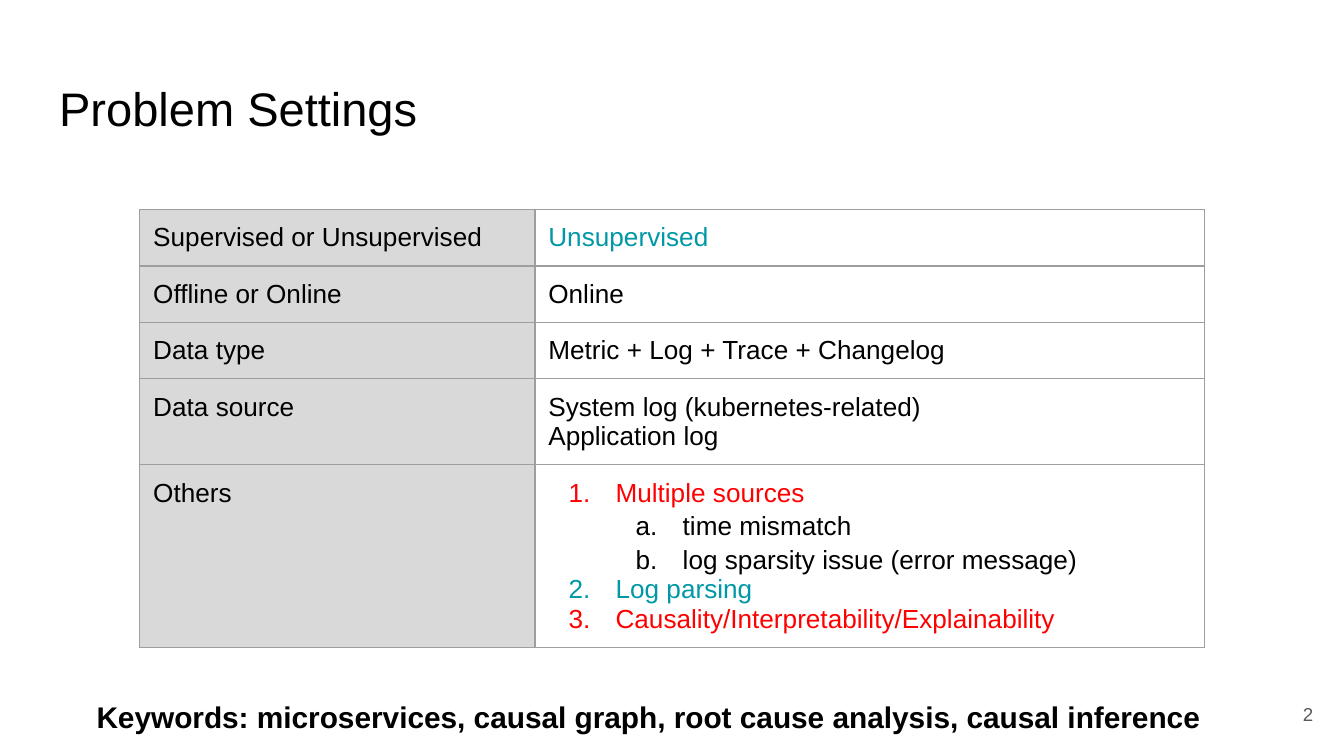
from dataclasses import dataclass

from lxml import etree
from pptx import Presentation
from pptx.dml.color import RGBColor
from pptx.enum.text import MSO_ANCHOR, MSO_AUTO_SIZE, PP_ALIGN
from pptx.oxml.ns import qn
from pptx.util import Inches, Pt

TOP, MIDDLE = MSO_ANCHOR.TOP, MSO_ANCHOR.MIDDLE
LEFT, RIGHT = PP_ALIGN.LEFT, PP_ALIGN.RIGHT
TITLE_ONLY = 5
SLIDE_WIDTH = 10
SLIDE_HEIGHT = SLIDE_WIDTH * 9 / 16


@dataclass(frozen=True)
class Theme:
    font: str = "Arial"
    black: str = "000000"
    teal: str = "0097A7"
    red: str = "FF0000"
    gray: str = "595959"
    label_fill: str = "D9D9D9"
    border: str = "9E9E9E"
    border_pt: float = 0.75
    title_pt: float = 25.2
    table_pt: float = 14
    keywords_pt: float = 16
    number_pt: float = 10
    inset: float = 0.1


T = Theme()

# Each line: text, colour, list level (None for plain text)
SETTINGS = [
    ("Supervised or Unsupervised", [("Unsupervised", T.teal, None)]),
    ("Offline or Online", [("Online", T.black, None)]),
    ("Data type", [("Metric + Log + Trace + Changelog", T.black, None)]),
    ("Data source", [
        ("System log (kubernetes-related)", T.black, None),
        ("Application log", T.black, None),
    ]),
    ("Others", [
        ("Multiple sources", T.red, 0),
        ("time mismatch", T.black, 1),
        ("log sparsity issue (error message)", T.black, 1),
        ("Log parsing", T.teal, 0),
        ("Causality/Interpretability/Explainability", T.red, 0),
    ]),
]
COL_WIDTHS = [2.94, 4.98]
ROW_HEIGHTS = [0.42, 0.42, 0.42, 0.64, 1.35]


def set_attrs(obj, values):
    for name, value in values.items():
        setattr(obj, name, value)


def set_insets(obj):
    sides = ("left", "top", "right", "bottom")
    set_attrs(obj, {f"margin_{side}": Inches(T.inset) for side in sides})


def write(p, text, size, color, bold=False):
    r = p.add_run()
    r.text = text
    set_attrs(r.font, {"name": T.font, "size": Pt(size), "bold": bold})
    r.font.color.rgb = RGBColor.from_string(color)


def fill_frame(sp, box, text, size, color, bold=False, anchor=TOP, align=LEFT):
    """Place a shape in its box and give it one line of text."""
    places = map(Inches, box)
    set_attrs(sp, dict(zip(("left", "top", "width", "height"), places)))
    tf = sp.text_frame
    set_attrs(tf, {"word_wrap": True, "auto_size": MSO_AUTO_SIZE.NONE,
                   "vertical_anchor": anchor})
    set_insets(tf)
    p = tf.paragraphs[0]
    p.alignment = align
    write(p, text, size, color, bold)


def add_label(s, box, *args, **kwargs):
    sp = s.shapes.add_textbox(0, 0, 0, 0)
    fill_frame(sp, box, *args, **kwargs)


def number_paragraph(p, level, color):
    """Number a list item: 1. on the first level, a. on the second."""
    p.level = level
    if level:
        p.line_spacing = 1.15
    pPr = p._p.get_or_add_pPr()
    pPr.set("marL", str(Inches(0.5 * (level + 1))))
    pPr.set("indent", str(Inches(-0.35)))
    clr = etree.SubElement(pPr, qn("a:buClr"))
    etree.SubElement(clr, qn("a:srgbClr"), val=color)
    scheme = ("arabicPeriod", "alphaLcPeriod")[level]
    etree.SubElement(pPr, qn("a:buFont"), typeface=T.font)
    etree.SubElement(pPr, qn("a:buAutoNum"), type=scheme)


def add_borders(cell):
    tcPr = cell._tc.get_or_add_tcPr()
    for side in ("lnL", "lnR", "lnT", "lnB"):
        ln = etree.SubElement(tcPr, qn(f"a:{side}"), w=str(Pt(T.border_pt)))
        fill = etree.SubElement(ln, qn("a:solidFill"))
        etree.SubElement(fill, qn("a:srgbClr"), val=T.border)


def fill_cell(cell, lines, fill=None):
    add_borders(cell)
    if fill:
        cell.fill.solid()
        cell.fill.fore_color.rgb = RGBColor.from_string(fill)
    else:
        cell.fill.background()
    set_insets(cell)
    cell.vertical_anchor = TOP
    tf = cell.text_frame
    for i, (text, color, level) in enumerate(lines):
        p = tf.add_paragraph() if i else tf.paragraphs[0]
        if level is not None:
            number_paragraph(p, level, color)
        write(p, text, T.table_pt, color)


def add_settings_table(s, left, top):
    size = sum(COL_WIDTHS), sum(ROW_HEIGHTS)
    frame = s.shapes.add_table(len(SETTINGS), len(COL_WIDTHS),
                               *map(Inches, (left, top, *size)))
    table = frame.table
    set_attrs(table, {"first_row": False, "horz_banding": False})
    for col, width in zip(table.columns, COL_WIDTHS):
        col.width = Inches(width)
    for row, height, (label, lines) in zip(table.rows, ROW_HEIGHTS, SETTINGS):
        row.height = Inches(height)
        fill_cell(row.cells[0], [(label, T.black, None)], T.label_fill)
        fill_cell(row.cells[1], lines)


def build_slide(prs):
    s = prs.slides.add_slide(prs.slide_layouts[TITLE_ONLY])
    # Title
    fill_frame(s.shapes.title, (0.34, 0.49, 9.32, 0.63),
               "Problem Settings", T.title_pt, T.black)
    # Slide number
    add_label(s, (9.27, 5.1, 0.6, 0.43), "2", T.number_pt, T.gray,
              anchor=MIDDLE, align=RIGHT)
    # Settings
    add_settings_table(s, 1.04, 1.56)
    # Keywords
    add_label(s, (0.62, 5.1, 8.74, 0.47),
              "Keywords: microservices, causal graph, root cause analysis, "
              "causal inference", T.keywords_pt, T.black, bold=True)


def main():
    prs = Presentation()
    set_attrs(prs, {"slide_width": Inches(SLIDE_WIDTH),
                    "slide_height": Inches(SLIDE_HEIGHT)})
    build_slide(prs)
    prs.save("out.pptx")


if __name__ == "__main__":
    main()
